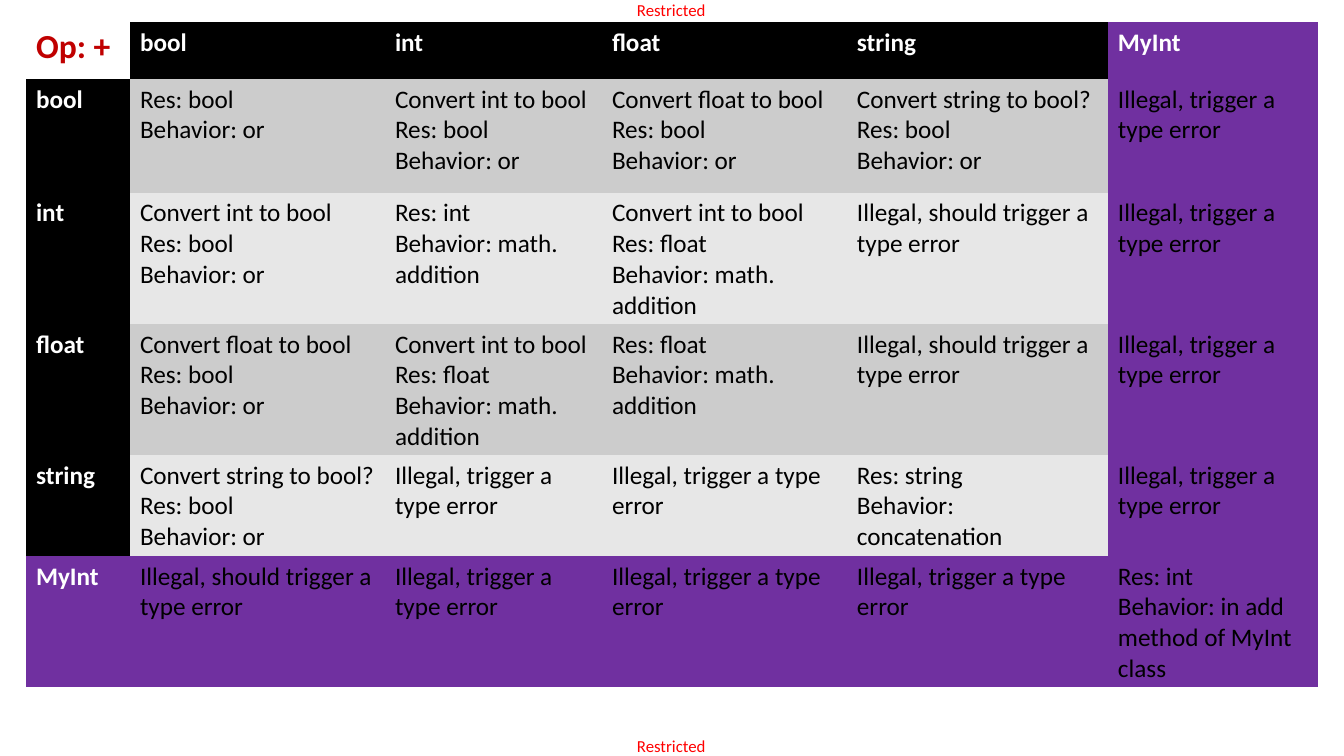
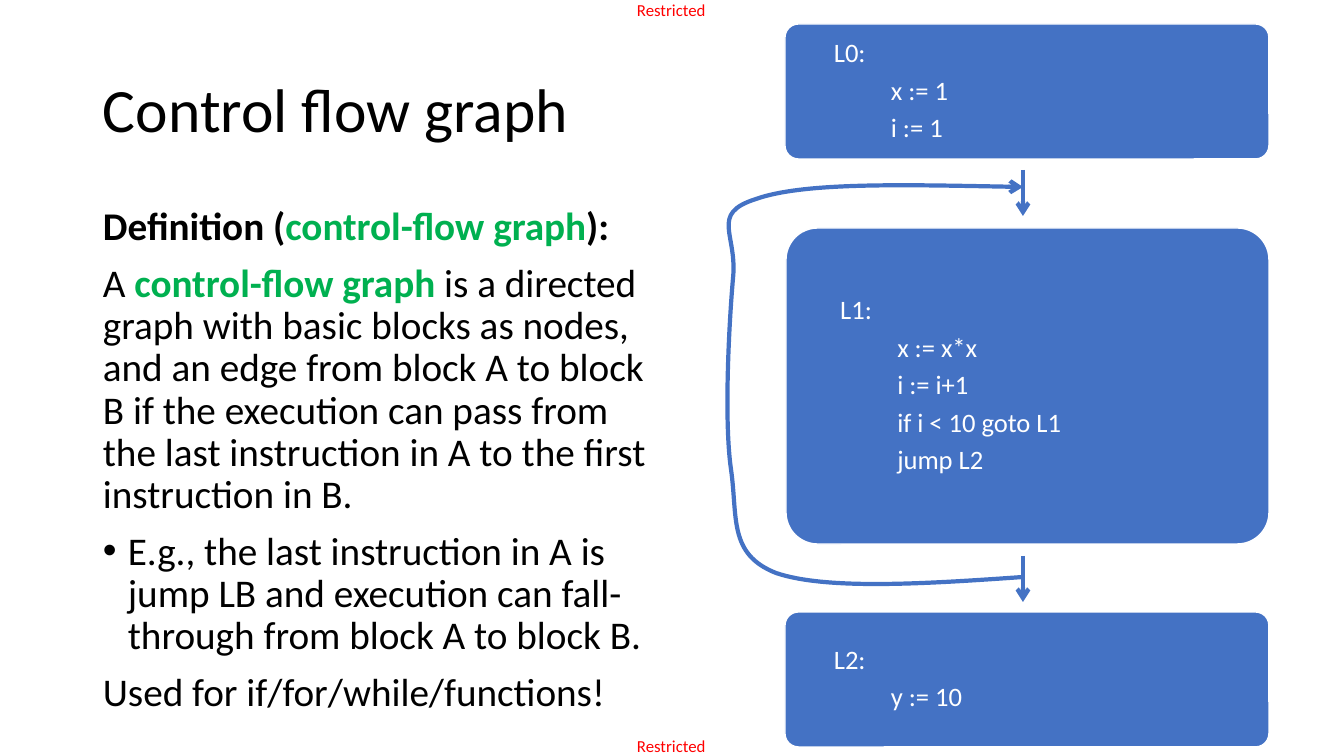
"""Build two slides: a table of operator types and a control flow graph."""
from lxml.etree import SubElement
from pptx import Presentation
from pptx.dml.color import RGBColor
from pptx.enum.shapes import MSO_CONNECTOR, MSO_SHAPE
from pptx.enum.text import MSO_ANCHOR, PP_ALIGN
from pptx.oxml.ns import qn
from pptx.util import Pt

PX = 914400 / 100.8
FONT = "Calibri"
BLACK = RGBColor(0x00, 0x00, 0x00)
WHITE = RGBColor(0xFF, 0xFF, 0xFF)
RED = RGBColor(0xFF, 0x00, 0x00)
DARK_RED = RGBColor(0xC0, 0x00, 0x00)
PURPLE = RGBColor(0x70, 0x30, 0xA0)
GREEN = RGBColor(0x00, 0xB0, 0x50)
BLUE = RGBColor(0x44, 0x72, 0xC4)
BANDS = [RGBColor(0xE7, 0xE7, 0xE7), RGBColor(0xCC, 0xCC, 0xCC)]
NO_STYLE = "{2D5ABB26-0587-4C30-8999-92F81FD0307C}"


def px(*lengths):
    return [round(n * PX) for n in lengths]


def style(p, size, color, bold=False):
    for r in p.runs:
        r.font.name = FONT
        r.font.size = Pt(size)
        r.font.bold = bold
        r.font.color.rgb = color


prs = Presentation()
prs.slide_width, prs.slide_height = px(1344, 756)
slides = [prs.slides.add_slide(prs.slide_layouts[6]) for _ in range(2)]
for s in slides:
    for top in (0, 736):
        tf = s.shapes.add_textbox(*px(637, top, 74, 20)).text_frame
        tf.margin_left = tf.margin_right = tf.margin_top = tf.margin_bottom = 0
        tf.text = "Restricted"
        style(tf.paragraphs[0], 12, RED)

ILLEGAL = "Illegal, trigger a type error"
SHOULD = "Illegal, should trigger a type error"
OR = "Res: bool\nBehavior: or"
ADD_INT = "Res: int\nBehavior: math. addition"
ADD_FLOAT = "Res: float\nBehavior: math. addition"
INT_OR = "Convert int to bool\n" + OR
FLOAT_OR = "Convert float to bool\n" + OR
STRING_OR = "Convert string to bool?\n" + OR
MIXED_ADD = "Convert int to bool\n" + ADD_FLOAT
CONCAT = "Res: string\nBehavior: concatenation"
MY_ADD = "Res: int\nBehavior: in add method of MyInt class"
ROWS = [
    ["Op: +", "bool", "int", "float", "string", "MyInt"],
    ["bool", OR, INT_OR, FLOAT_OR, STRING_OR, ILLEGAL],
    ["int", INT_OR, ADD_INT, MIXED_ADD, SHOULD, ILLEGAL],
    ["float", FLOAT_OR, MIXED_ADD, ADD_FLOAT, SHOULD, ILLEGAL],
    ["string", STRING_OR, ILLEGAL, ILLEGAL, CONCAT, ILLEGAL],
    ["MyInt", SHOULD, ILLEGAL, ILLEGAL, ILLEGAL, MY_ADD],
]
WIDTHS = [104, 255, 217, 245, 261, 210]
HEIGHTS = [57, 114, 131, 131, 101, 131]

frame = slides[0].shapes.add_table(6, 6, *px(26, 22, sum(WIDTHS), sum(HEIGHTS)))
table = frame.table
table.first_row = table.horz_banding = False
frame.element.xpath(".//a:tableStyleId")[0].text = NO_STYLE
for column, width in zip(table.columns, px(*WIDTHS)):
    column.width = width
for row, height in zip(table.rows, px(*HEIGHTS)):
    row.height = height
for i, row in enumerate(ROWS):
    for j, text in enumerate(row):
        cell = table.cell(i, j)
        cell.text_frame.text = text
        header = i == 0 or j == 0
        corner = i == j == 0
        if corner:
            fill = WHITE
        elif 5 in (i, j):
            fill = PURPLE
        else:
            fill = BLACK if header else BANDS[i % 2]
        cell.fill.solid()
        cell.fill.fore_color.rgb = fill
        color = DARK_RED if corner else WHITE if header else BLACK
        for p in cell.text_frame.paragraphs:
            style(p, 24 if corner else 18, color, header)

s = slides[1]
tf = s.shapes.add_textbox(*px(93, 40, 1159, 146)).text_frame
tf.word_wrap = True
tf.vertical_anchor = MSO_ANCHOR.MIDDLE
tf.text = "Control flow graph"
tf.paragraphs[0].line_spacing = 0.9
style(tf.paragraphs[0], 44, BLACK)

DEFINITION = [
    [("Definition (", BLACK, True), ("control-flow graph", GREEN, True), ("):", BLACK, True)],
    [("A ", BLACK, False), ("control-flow graph ", GREEN, True),
     ("is a directed graph with basic blocks as nodes, and an edge from block A to "
      "block B if the execution can pass from the last instruction in A to the first "
      "instruction in B.", BLACK, False)],
    [("E.g., the last instruction in A is jump LB and execution can fall-through "
      "from block A to block B.", BLACK, False)],
    [("Used for if/for/while/functions!", BLACK, False)],
]
tf = s.shapes.add_textbox(*px(93, 202, 572, 554)).text_frame
tf.word_wrap = True
for i, parts in enumerate(DEFINITION):
    p = tf.add_paragraph() if i else tf.paragraphs[0]
    p.line_spacing = 0.9
    if i:
        p.space_before = Pt(10)
    if i == 2:
        pPr = p._p.get_or_add_pPr()
        pPr.set("marL", str(px(25)[0]))
        pPr.set("indent", str(px(-25)[0]))
        SubElement(pPr, qn("a:buFont")).set("typeface", "Arial")
        SubElement(pPr, qn("a:buChar")).set("char", "•")
    for text, color, bold in parts:
        r = p.add_run()
        r.text = text
        r.font.name = FONT
        r.font.size = Pt(28)
        r.font.bold = bold
        r.font.color.rgb = color

BLOCKS = [
    (785, 24, 484, 135, ["L0:", "x := 1", "i := 1"]),
    (786, 228, 483, 316, ["L1:", "x := x*x", "i := i+1", "if i < 10 goto L1", "jump L2"]),
    (785, 612, 484, 135, ["L2:", "y := 10"]),
]
for *box, code in BLOCKS:
    sp = s.shapes.add_shape(MSO_SHAPE.ROUNDED_RECTANGLE, *px(*box))
    sp.adjustments[0] = 0.1
    sp.shadow.inherit = False
    sp.fill.solid()
    sp.fill.fore_color.rgb = BLUE
    sp.line.color.rgb = WHITE
    sp.line.width = Pt(1)
    tf = sp.text_frame
    tf.vertical_anchor = MSO_ANCHOR.MIDDLE
    tf.margin_left, tf.margin_right, tf.margin_top, tf.margin_bottom = px(8, 8, 8, 8)
    tf.text = "\n".join(code)
    for i, p in enumerate(tf.paragraphs):
        p.alignment = PP_ALIGN.LEFT
        p.line_spacing = 0.9
        p.space_after = Pt(6.3)
        p._p.get_or_add_pPr().set("marL", str(px(94 if i else 37)[0]))
        style(p, 19, WHITE)

LOOP = [
    (1023, 577), (924, 584), (826, 590), (776, 573), (728, 554), (738, 517),
    (731, 469), (724, 420), (729, 325), (733, 279), (738, 234), (709, 214),
    (756, 199), (804, 182), (913, 185), (1023, 187),
]
edges = [
    s.shapes.add_connector(MSO_CONNECTOR.STRAIGHT, *px(1023, top, 1023, top + 46))
    for top in (170, 556)
]
builder = s.shapes.build_freeform(*LOOP[0], scale=PX)
builder.add_line_segments(LOOP[1:], close=False)
loop = builder.convert_to_shape()
loop.fill.background()
segments = loop.element.xpath(".//a:lnTo")
for curve, second, third in zip(segments[::3], segments[1::3], segments[2::3]):
    curve.tag = qn("a:cubicBezTo")
    for segment in (second, third):
        curve.append(segment[0])
        segment.getparent().remove(segment)

for sp in edges + [loop]:
    sp.line.color.rgb = BLUE
    sp.line.width = Pt(3)
    SubElement(sp.element.xpath(".//a:ln")[0], qn("a:tailEnd")).set("type", "arrow")
    SubElement(sp.element.spPr, qn("a:effectLst"))

prs.save("out.pptx")
